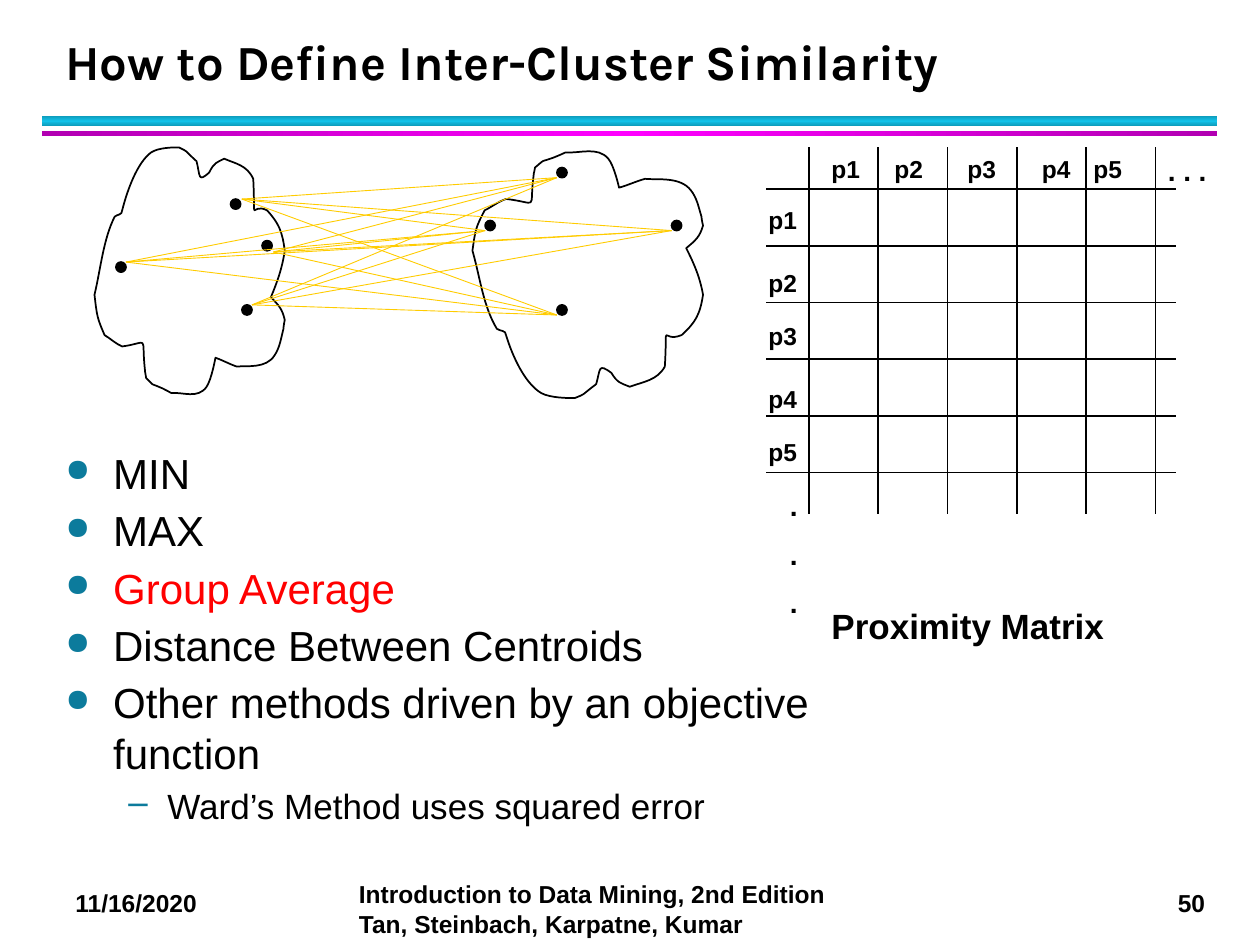
from copy import deepcopy
from itertools import product

from lxml.etree import SubElement
from pptx import Presentation
from pptx.dml.color import RGBColor
from pptx.enum.shapes import MSO_CONNECTOR as Link, MSO_SHAPE as Kind
from pptx.enum.text import MSO_ANCHOR as Anchor
from pptx.oxml.ns import qn
from pptx.util import Cm, Pt

BLACK = RGBColor(0x00, 0x00, 0x00)
RED = RGBColor(0xFF, 0x00, 0x00)
GOLD = RGBColor(0xFF, 0xCC, 0x00)
TEAL = RGBColor(0x0C, 0x7B, 0x9C)
CYAN = RGBColor(0x12, 0xC2, 0xE9)
DEEP = RGBColor(0x0E, 0x9B, 0xBA)
PINK = RGBColor(0xFF, 0x00, 0xFF)
PLUM = RGBColor(0xB2, 0x00, 0xB2)

TITLE = "How to Define Inter-Cluster Similarity"
POINTS = [
    ("MIN", 0, BLACK),
    ("MAX", 0, BLACK),
    ("Group Average", 0, RED),
    ("Distance Between Centroids", 0, BLACK),
    ("Other methods driven by an objective function", 0, BLACK),
    ("Ward’s Method uses squared error", 1, BLACK),
]
LEVELS = [
    {"size": 24, "left": 0.38, "hang": 0.38, "mark": "●", "scale": 75},
    {"size": 20, "left": 0.81, "hang": 0.31, "mark": "–", "scale": 100},
]
BARS = [((0.33, 0.92, 9.33, 0.08), DEEP, CYAN, 90),
        ((0.33, 1.04, 9.33, 0.04), PLUM, PINK, 0)]
NAMES = ["p1", "p2", "p3", "p4", "p5"]
HEADS = [6.5, 7, 7.58, 8.17, 8.58]
SIDES = [1.58, 2.08, 2.5, 3, 3.42]
FOOT = [
    ("11/16/2020", (0.5, 7, 1.33, 0.34), True),
    ("50", (9.25, 7, 0.44, 0.34), False),
    ("Introduction to Data Mining, 2nd Edition\vTan, Steinbach, Karpatne, Kumar",
     (2.75, 6.93, 4.08, 0.57), True),
]
DOT = 0.08
LEFT = [(1.92, 2.42), (2.08, 1.91), (0.92, 2.08), (1.83, 1.58)]
STARTS = [(2, 2.42), (2.17, 2), (1, 2.08), (1.92, 1.58)]
RIGHT = [(4.42, 2.42), (3.85, 1.75), (4.42, 1.33), (5.33, 1.75)]
CLOUD = [
    (0.91, 1.72),
    (0.82, 1.9), (0.8, 2.13), (0.75, 2.34),
    (0.77, 2.51), (0.77, 2.52), (0.83, 2.66),
    (0.88, 2.69), (0.92, 2.73), (0.97, 2.75),
    (1.19, 2.72), (1.12, 2.65), (1.15, 2.93),
    (1.15, 2.96), (1.16, 2.98), (1.16, 3),
    (1.23, 3.07), (1.19, 3.04), (1.26, 3.07),
    (1.29, 3.08), (1.36, 3.12), (1.36, 3.12),
    (1.45, 3.11), (1.57, 3.17), (1.64, 3.07),
    (1.68, 3.01), (1.71, 2.84), (1.71, 2.84),
    (1.77, 2.86), (1.82, 2.89), (1.88, 2.91),
    (1.96, 2.9), (2.11, 2.93), (2.18, 2.82),
    (2.22, 2.76), (2.23, 2.69), (2.25, 2.61),
    (2.25, 2.59), (2.26, 2.54), (2.26, 2.54),
    (2.24, 2.45), (2.21, 2.42), (2.15, 2.36),
    (2.2, 2.24), (2.24, 2.13), (2.26, 1.99),
    (2.24, 1.83), (2.21, 1.77), (2.12, 1.67),
    (1.98, 1.6), (2.03, 1.82), (2.01, 1.42),
    (1.96, 1.31), (1.87, 1.3), (1.78, 1.26),
    (1.72, 1.29), (1.7, 1.29), (1.66, 1.37),
    (1.57, 1.45), (1.59, 1.4), (1.56, 1.28),
    (1.45, 1.18), (1.5, 1.21), (1.42, 1.17),
    (1.38, 1.17), (1.26, 1.17), (1.2, 1.21),
    (1.09, 1.29), (1.01, 1.51), (0.97, 1.67),
    (0.97, 1.71), (0.93, 1.7), (0.91, 1.72),
]

deck = Presentation()
deck.slide_width, deck.slide_height = Cm(25.4), Cm(19.05)
shapes = deck.slides.add_slide(deck.slide_layouts[6]).shapes


def inch(*vals):
    return [Cm(val * 2.54) for val in vals]


def style(para, size, color=BLACK, bold=True, font="Arial"):
    para.font.size, para.font.bold, para.font.name = Pt(size), bold, font
    para.font.color.rgb = color


def put(text, box, size=14, wrap=True, gap=0, lead=None, anchor=Anchor.TOP, **look):
    frame = shapes.add_textbox(*inch(*box)).text_frame
    frame.word_wrap, frame.vertical_anchor = wrap, anchor
    for i, line in enumerate(text.split("\n")):
        para = frame.add_paragraph() if i else frame.paragraphs[0]
        para.text = line
        style(para, size, **look)
        if i:
            para.space_before = Pt(gap)
        if lead:
            para.line_spacing = Pt(lead)
    return frame


def rule(start, end, color=BLACK, width=1):
    line = shapes.add_connector(Link.STRAIGHT, *inch(*start, *end))
    line.line.color.rgb, line.line.width = color, Pt(width)
    SubElement(line._element.spPr, qn("a:effectLst"))


def bar(box, edge, core, angle):
    shape = shapes.add_shape(Kind.RECTANGLE, *inch(*box))
    shape.shadow.inherit = False
    shape.line.fill.background()
    shape.fill.gradient()
    shape.fill.gradient_angle = angle
    stops = shape._element.find(".//" + qn("a:gsLst"))
    stops.insert(1, deepcopy(stops[0]))
    for stop, pos, color in zip(shape.fill.gradient_stops, (0, 0.5, 1), (edge, core, edge)):
        stop.position, stop.color.rgb = pos, color


def dot(x, y):
    shape = shapes.add_shape(Kind.OVAL, *inch(x, y, DOT, DOT))
    shape.shadow.inherit = False
    shape.fill.solid()
    shape.fill.fore_color.rgb = shape.line.color.rgb = BLACK
    shape.line.width = Pt(1)


def cloud(spots):
    first, *rest = [inch(*spot) for spot in spots]
    pen = shapes.build_freeform(*first)
    pen.add_line_segments(rest, close=True)
    shape = pen.convert_to_shape()
    shape.shadow.inherit = False
    shape.fill.background()
    shape.line.color.rgb, shape.line.width = BLACK, Pt(1)
    trail = shape._element.find(".//" + qn("a:path"))
    steps = trail.findall(qn("a:lnTo"))
    for i in range(0, len(steps), 3):
        curve = SubElement(trail, qn("a:cubicBezTo"))
        for step in steps[i:i + 3]:
            curve.append(step[0])
            trail.remove(step)
    trail.append(trail.find(qn("a:close")))


def bullet(para, left, hang, mark, scale):
    props = para._p.get_or_add_pPr()
    props.set("marL", str(inch(left)[0]))
    props.set("indent", str(-inch(hang)[0]))
    tint = SubElement(props, qn("a:buClr"))
    SubElement(tint, qn("a:srgbClr"), val=str(TEAL))
    SubElement(props, qn("a:buSzPct"), val=str(scale * 1000))
    SubElement(props, qn("a:buChar"), char=mark)


for item in BARS:
    bar(*item)
for text, box, wrap in FOOT:
    put(text, box, wrap=wrap)
put(TITLE, (0.42, 0.17, 9.06, 0.6), size=28, font="Karla", lead=36, anchor=Anchor.BOTTOM)

for i in range(6):
    x, y = 6.42 + 0.55 * i, 1.5 + 0.45 * i
    rule((x, 1.17), (x, 4.08))
    rule((6.08, y), (9.33, y))
for name, x, y in zip(NAMES, HEADS, SIDES):
    put(name, (x, 1.17, 0.58, 0.33))
    put(name, (6, y, 0.58, 0.33))
put(". . .", (9.17, 1.17, 0.58, 0.37), size=16)
put(".\n.\n.", (6.17, 3.83, 0.58, 1.17), size=16, gap=8.5)
put("Proximity Matrix", (6.5, 4.75, 2.75, 0.43), size=20)

cloud(CLOUD)
cloud([(3.75 + (x - 0.75) * 1.83 / 1.51, 4.33 - y) for x, y in CLOUD])
for spot in LEFT + RIGHT:
    dot(*spot)
for start, (x, y) in product(STARTS, RIGHT):
    rule(start, (x, y + DOT), GOLD, 0.5)

body = put("\n".join(text for text, _, _ in POINTS), (0.42, 3.5, 6.33, 3.42))
for i, (para, (_, level, color)) in enumerate(zip(body.paragraphs, POINTS)):
    form = dict(LEVELS[level])
    size = form.pop("size")
    para._p.remove(para._p.get_or_add_pPr())
    bullet(para, **form)
    para.level = level
    style(para, size, color, bold=False)
    para.space_before, para.space_after = Pt(2 if i else 0), Pt(2)

deck.save("out.pptx")
